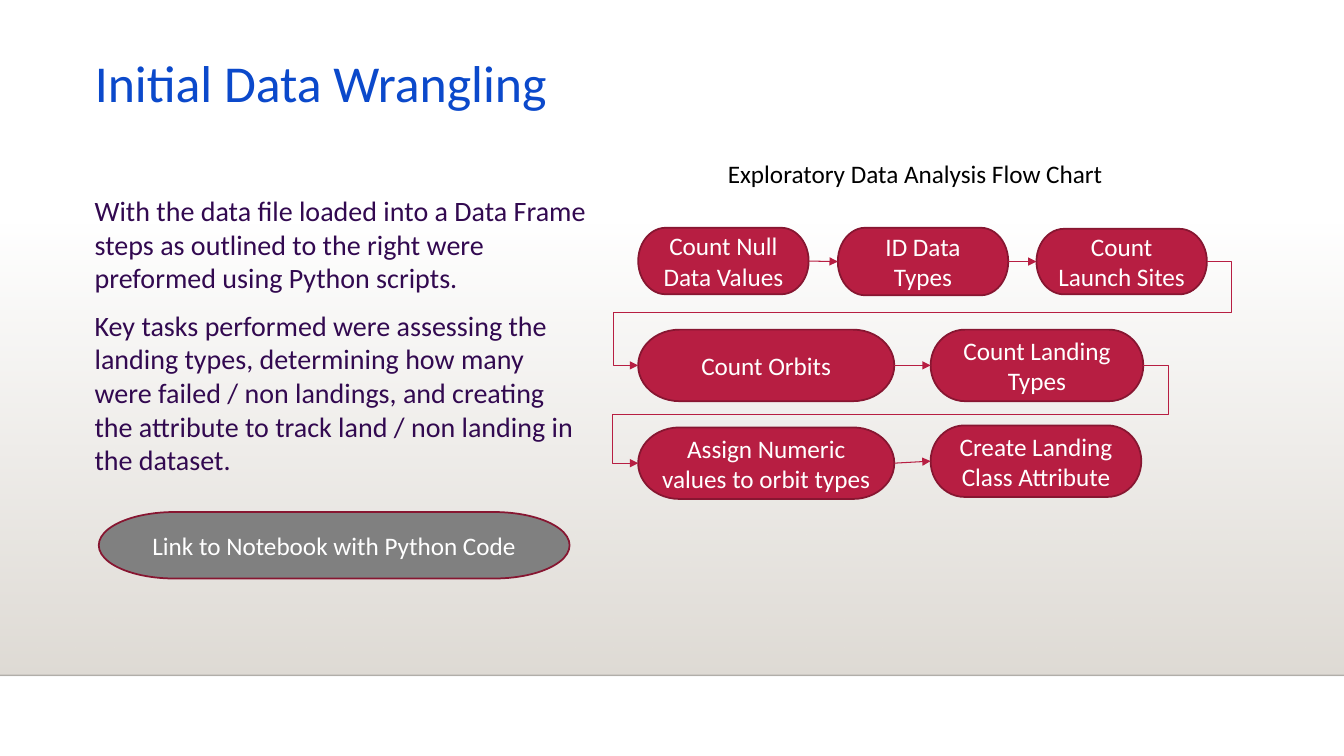
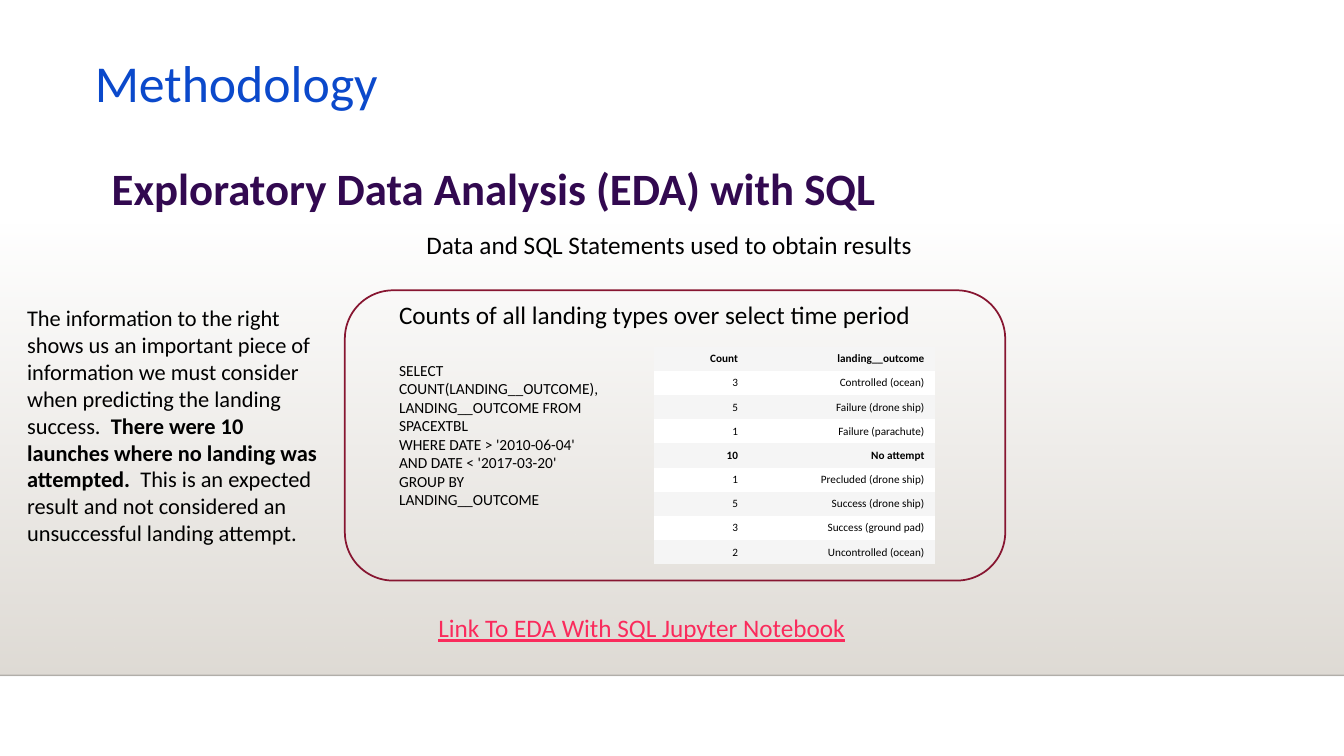
"""Builds two slides on data wrangling and exploratory analysis with SQL."""
from lxml import etree
from pptx import Presentation
from pptx.dml.color import RGBColor
from pptx.enum.shapes import MSO_CONNECTOR, MSO_SHAPE
from pptx.enum.text import MSO_ANCHOR, MSO_AUTO_SIZE, PP_ALIGN
from pptx.oxml.ns import qn
from pptx.util import Emu, Pt

EMU_PER_PX = 9144
SLIDE_WIDTH, SLIDE_HEIGHT = 1333, 750
BAND_TOP, BAND_BOTTOM = 221, 670
OVERHANG = 25
FONT = "Calibri"
TITLE_ONLY = 5
NO_TABLE_STYLE = "{2D5ABB26-0587-4C30-8999-92F81FD0307C}"
LEFT_SITE, RIGHT_SITE = 1, 3

STRAIGHT, ELBOW = MSO_CONNECTOR.STRAIGHT, MSO_CONNECTOR.ELBOW
RECTANGLE, ROUNDED = MSO_SHAPE.RECTANGLE, MSO_SHAPE.ROUNDED_RECTANGLE
TERMINATOR = MSO_SHAPE.FLOWCHART_TERMINATOR
MIDDLE = MSO_ANCHOR.MIDDLE
NO_AUTOFIT = MSO_AUTO_SIZE.NONE
LEFT, CENTER, RIGHT = PP_ALIGN.LEFT, PP_ALIGN.CENTER, PP_ALIGN.RIGHT

BLACK = RGBColor(0x00, 0x00, 0x00)
WHITE = RGBColor(0xFF, 0xFF, 0xFF)
BLUE = RGBColor(0x0B, 0x49, 0xCB)
PURPLE = RGBColor(0x32, 0x09, 0x50)
CRIMSON = RGBColor(0xB7, 0x1E, 0x42)
DARK_CRIMSON = RGBColor(0x87, 0x16, 0x31)
PINK = RGBColor(0xFA, 0x2B, 0x5C)
GRAY = RGBColor(0x80, 0x80, 0x80)
LIGHT_GRAY = RGBColor(0xF5, 0xF5, 0xF5)
SAND = RGBColor(0xDF, 0xDB, 0xD5)

BODY = [
    "With the data file loaded into a Data Frame steps as outlined to the right "
    "were preformed using Python scripts.",
    "Key tasks performed were assessing the landing types, determining how many "
    "were failed / non landings, and creating the attribute to track land / non "
    "landing in the dataset.",
]
STEPS = [
    ("Count Null Data Values", 633, 226, 169, 66),
    ("ID Data Types", 831, 226, 169, 67),
    ("Count Launch Sites", 1028, 227, 169, 65),
    ("Count Orbits", 633, 327, 254, 71),
    ("Count Landing Types", 923, 327, 211, 71),
    ("Assign Numeric values to orbit types", 633, 424, 254, 71),
    ("Create Landing Class Attribute", 923, 422, 209, 71),
]
ROW_BREAKS = {2: 0.49, 4: 0.5}
QUERY = [
    "SELECT COUNT(LANDING__OUTCOME), LANDING__OUTCOME FROM SPACEXTBL",
    "WHERE DATE > '2010-06-04'",
    "AND DATE < '2017-03-20'",
    "GROUP BY  LANDING__OUTCOME",
]
FINDING = [
    ("The information to the right shows us an important piece of information we "
     "must consider when predicting the landing success.  ", False),
    ("There were 10 launches where no landing was attempted.", True),
    ("  This is an expected result and not considered an unsuccessful landing "
     "attempt.", False),
]
OUTCOMES = [
    ("Count", "landing__outcome"),
    ("3", "Controlled (ocean)"),
    ("5", "Failure (drone ship)"),
    ("1", "Failure (parachute)"),
    ("10", "No attempt"),
    ("1", "Precluded (drone ship)"),
    ("5", "Success (drone ship)"),
    ("3", "Success (ground pad)"),
    ("2", "Uncontrolled (ocean)"),
]
BOLD_ROWS = (0, 4)


def px(*lengths):
    """Turn px lengths into a list of EMU lengths."""
    return [Emu(length * EMU_PER_PX) for length in lengths]


def set_font(paragraph, size, color, bold=False):
    """Set the font of a whole paragraph."""
    font = paragraph.font
    font.name, font.size, font.bold = FONT, Pt(size), bold
    font.color.rgb = color


def set_alpha(color_element, percent):
    """Make a colour element partly transparent."""
    etree.SubElement(color_element, qn("a:alpha")).set("val", str(percent * 1000))


def add_line(slide, kind, points, color, width):
    """Add a connector without a shadow."""
    connector = slide.shapes.add_connector(kind, *px(*points))
    connector.line.color.rgb = color
    connector.line.width = Pt(width)
    etree.SubElement(connector.element.spPr, qn("a:effectLst"))
    return connector


def add_box(slide, preset, place, fill=None, text=None):
    """Add an outlined shape with optional fill and centred text."""
    shape = slide.shapes.add_shape(preset, *px(*place))
    shape.shadow.inherit = False
    shape.line.color.rgb = DARK_CRIMSON
    shape.line.width = Pt(1.25)
    if fill is None:
        shape.fill.background()
    else:
        shape.fill.solid()
        shape.fill.fore_color.rgb = fill
    if text:
        frame = shape.text_frame
        frame.word_wrap = True
        frame.vertical_anchor = MIDDLE
        paragraph = frame.paragraphs[0]
        paragraph.text = text
        paragraph.alignment = CENTER
        set_font(paragraph, 18, WHITE)
    return shape


def add_text(slide, place, lines, size=18, color=BLACK, bold=False, gap=0):
    """Add a wrapped text box with one paragraph per line and return its paragraphs."""
    frame = slide.shapes.add_textbox(*px(*place)).text_frame
    frame.word_wrap = True
    for index, line in enumerate(lines):
        paragraph = frame.add_paragraph() if index else frame.paragraphs[0]
        paragraph.text = line
        set_font(paragraph, size, color, bold)
        if index and gap:
            paragraph.space_before = Pt(gap)
    return frame.paragraphs


def add_arrow(slide, source, target, middle=None):
    """Link two steps with an arrow, bent around to the next row if middle is given."""
    connector = add_line(slide, STRAIGHT if middle is None else ELBOW,
                         (0, 0, 0, 0), CRIMSON, 0.75)
    connector.begin_connect(source, RIGHT_SITE)
    connector.end_connect(target, LEFT_SITE)
    line = connector.element.spPr.find(qn("a:ln"))
    etree.SubElement(line, qn("a:tailEnd")).set("type", "triangle")
    if middle is not None:
        geometry = connector.element.spPr.find(qn("a:prstGeom"))
        geometry.set("prst", "bentConnector5")
        guides = geometry.find(qn("a:avLst"))
        if guides is None:
            guides = etree.SubElement(geometry, qn("a:avLst"))
        overhang = OVERHANG * EMU_PER_PX / connector.width
        for index, ratio in enumerate((-overhang, middle, 1 + overhang), 1):
            guide = etree.SubElement(guides, qn("a:gd"))
            guide.set("name", f"adj{index}")
            guide.set("fmla", f"val {round(ratio * 100000)}")


def add_outcome_table(slide):
    """Add the table of landing outcomes with striped rows."""
    frame = slide.shapes.add_table(len(OUTCOMES), 2, *px(649, 344, 278, 216))
    frame.element.xpath(".//a:tableStyleId")[0].text = NO_TABLE_STYLE
    table = frame.table
    for column, width in zip(table.columns, px(93, 185)):
        column.width = width
    for row, values in enumerate(OUTCOMES):
        for column, value in enumerate(values):
            cell = table.cell(row, column)
            cell.fill.solid()
            cell.fill.fore_color.rgb = WHITE if row % 2 else LIGHT_GRAY
            cell.vertical_anchor = MIDDLE
            paragraph = cell.text_frame.paragraphs[0]
            paragraph.text = value
            paragraph.alignment = RIGHT
            set_font(paragraph, 8, BLACK, row in BOLD_ROWS)


def move_backdrop_to_layout(slide):
    """Draw the shaded band and its base line, and place them on the layout."""
    band = slide.shapes.add_shape(
        RECTANGLE, *px(0, BAND_TOP, SLIDE_WIDTH, BAND_BOTTOM - BAND_TOP))
    band.shadow.inherit = False
    band.line.fill.background()
    band.fill.gradient()
    band.fill.gradient_angle = 270
    for position, stop in enumerate(band.fill.gradient_stops):
        stop.position = position
        stop.color.rgb = SAND
    set_alpha(band.element.xpath(".//a:gs/a:srgbClr")[0], 0)
    base = add_line(slide, STRAIGHT, (0, BAND_BOTTOM, SLIDE_WIDTH, BAND_BOTTOM),
                    BLACK, 1)
    set_alpha(base.element.xpath(".//a:ln//a:srgbClr")[0], 20)
    for index, shape in enumerate((base, band)):
        shape.element.xpath(".//p:cNvPr")[0].set("id", str(100 + index))
        slide.slide_layout.shapes.element.insert(2, shape.element)


def add_slide(presentation, text):
    """Add a slide with the shared title style."""
    slide = presentation.slides.add_slide(presentation.slide_layouts[TITLE_ONLY])
    title = slide.shapes.title
    title.left, title.top, title.width, title.height = px(84, 59, 1150, 60)
    frame = title.text_frame
    frame.auto_size = NO_AUTOFIT
    frame.vertical_anchor = MIDDLE
    paragraph = frame.paragraphs[0]
    paragraph.text = text
    paragraph.alignment = LEFT
    paragraph.line_spacing = 0.7
    set_font(paragraph, 37, BLUE)
    return slide


def build_wrangling(presentation):
    """Build the slide with the flow chart."""
    slide = add_slide(presentation, "Initial Data Wrangling")
    move_backdrop_to_layout(slide)
    add_text(slide, (84, 187, 508, 307), BODY, 20, PURPLE, gap=10)
    steps = [add_box(slide, TERMINATOR, place, CRIMSON, text)
             for text, *place in STEPS]
    for index, (source, target) in enumerate(zip(steps, steps[1:])):
        add_arrow(slide, source, target, ROW_BREAKS.get(index))
    add_text(slide, (712, 152, 407, 40), ["Exploratory Data Analysis Flow Chart"])
    add_box(slide, TERMINATOR, (98, 508, 467, 66), GRAY,
            "Link to Notebook with Python Code")


def build_methodology(presentation):
    """Build the slide with the query and its result."""
    slide = add_slide(presentation, "Methodology")
    add_text(slide, (101, 155, 815, 64),
             ["Exploratory Data Analysis (EDA) with SQL"], 32, PURPLE, bold=True)
    link, = add_text(slide, (425, 603, 483, 40),
                     ["Link To EDA With SQL Jupyter Notebook"], color=PINK)
    link.font.underline = True
    add_text(slide, (413, 223, 513, 40),
             ["Data and SQL Statements used to obtain results"])
    add_box(slide, ROUNDED, (342, 288, 655, 288))
    add_text(slide, (386, 292, 554, 40),
             ["Counts of all landing types over select time period"])
    add_text(slide, (386, 353, 227, 158), QUERY, 11)
    add_outcome_table(slide)
    finding, = add_text(slide, (17, 297, 319, 279), [""], 16)
    for text, bold in FINDING:
        run = finding.add_run()
        run.text = text
        run.font.bold = bold


def main():
    """Build and save the presentation."""
    presentation = Presentation()
    presentation.slide_width, presentation.slide_height = px(SLIDE_WIDTH, SLIDE_HEIGHT)
    build_wrangling(presentation)
    build_methodology(presentation)
    presentation.save("out.pptx")


if __name__ == "__main__":
    main()
